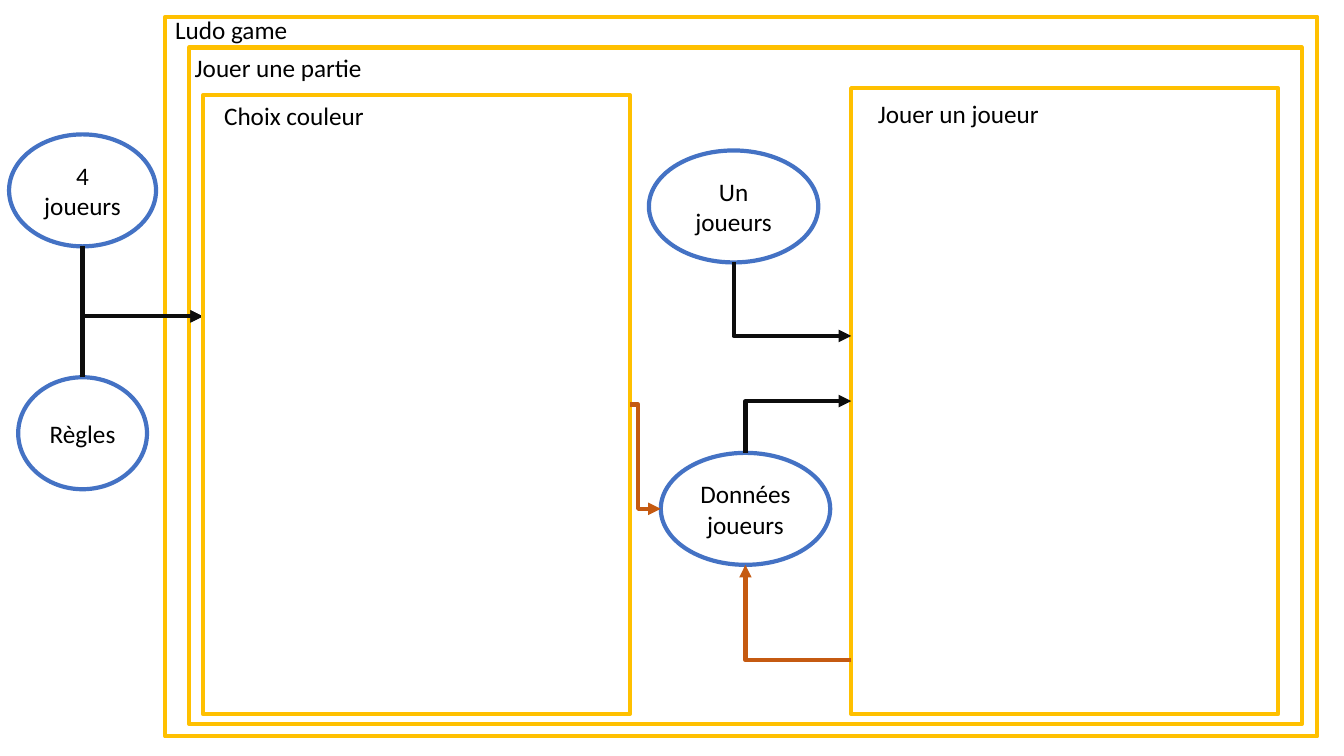
from dataclasses import dataclass
from pptx import Presentation
from pptx.dml.color import RGBColor as RGB
from pptx.enum.shapes import MSO_CONNECTOR as Conn, MSO_SHAPE as Form
from pptx.enum.text import MSO_ANCHOR as Anchor, PP_ALIGN as Align
from pptx.oxml.ns import qn
from pptx.util import Pt
from lxml.etree import SubElement as Sub


@dataclass(frozen=True)
class Theme:
    font: str = "Calibri"
    size: float = 18
    line: float = 3
    ink: str = "000000"
    paper: str = "FFFFFF"
    frame: str = "FFC000"
    data: str = "4472C4"
    input: str = "0D0D0D"
    output: str = "C55A11"


T = Theme()
OVAL = 80  # height of every data oval


def color(code):
    return RGB.from_string(code)


def write(shape, text, align=Align.LEFT, anchor=Anchor.TOP, size=T.size, ink=T.ink):
    frame = shape.text_frame
    frame.word_wrap = True
    frame.vertical_anchor = anchor
    par = frame.paragraphs[0]
    par.alignment = align
    run = par.add_run()
    run.text = text
    run.font.name, run.font.size = T.font, Pt(size)
    run.font.color.rgb = color(ink)


def outline(slide, form, box, ink):
    shape = slide.shapes.add_shape(form, *map(Pt, box))
    shape.shadow.inherit = False
    shape.fill.solid()
    shape.fill.fore_color.rgb = color(T.paper)
    shape.line.color.rgb = color(ink)
    shape.line.width = Pt(T.line)
    return shape


def panel(slide, box):
    outline(slide, Form.RECTANGLE, box, T.frame)


def label(slide, box, text, dx, dy, width):
    spot = slide.shapes.add_textbox(Pt(box[0] + dx), Pt(box[1] + dy), Pt(width), Pt(29))
    write(spot, text)


def oval(slide, box, text):
    shape = outline(slide, Form.OVAL, box, T.data)
    write(shape, text, align=Align.CENTER, anchor=Anchor.MIDDLE)


def arrow(slide, start, end, ink, upright=False, bend=None):
    """Elbow arrow; upright leaves vertically and heads right, bend places a middle leg."""
    (x1, y1), (x2, y2) = start, end
    turn = 0
    if upright:
        # Lay the frame on its side about its centre, then turn it upright
        mx, my = (x1 + x2) / 2, (y1 + y2) / 2
        dx, dy = abs(y2 - y1) / 2, (x2 - x1) / 2
        turn = 270 if y2 > y1 else 90
        side = 1 if y2 > y1 else -1
        x1, y1, x2, y2 = mx + dx, my - side * dy, mx - dx, my + side * dy
    link = slide.shapes.add_connector(Conn.ELBOW, Pt(x1), Pt(y1), Pt(x2), Pt(y2))
    link.line.color.rgb = color(ink)
    link.line.width = Pt(T.line)
    props = link._element.spPr
    if turn:
        props.find(qn("a:xfrm")).set("rot", str(turn * 60000))
    geom = props.find(qn("a:prstGeom"))
    if bend is None:
        geom.set("prst", "bentConnector2")
    else:
        Sub(geom.find(qn("a:avLst")), qn("a:gd"), name="adj1", fmla=f"val {bend}")
    Sub(props.find(qn("a:ln")), qn("a:tailEnd"), type="triangle")
    Sub(props, qn("a:effectLst"))


def inputs(slide, box, goal):
    """Players above rules, both feeding the goal."""
    x, y, w, h = box
    mid = x + w / 2
    rules = 92
    oval(slide, (x, y, w, OVAL), "4 joueurs")
    oval(slide, (mid - rules / 2, y + h - OVAL, rules, OVAL), "Règles")
    for edge in (y + h - OVAL, y + OVAL):
        arrow(slide, (mid, edge), goal, T.input, upright=True)


def choice(slide, box):
    panel(slide, box)
    label(slide, box, "Choix couleur", 8, 0, 122)


def turn(slide, box):
    panel(slide, box)
    label(slide, box, "Jouer un joueur", 12, 4, 140)


def flow(slide, box, left):
    """Data ovals and the arrows linking them to the play panel at box."""
    x, y = box[:2]
    wide = 121
    one = (x - 144.5, y + 44.5, wide, OVAL)
    data = (x - 136, y + 260.5, wide, OVAL)
    oval(slide, one, "Un joueurs")
    oval(slide, data, "Données joueurs")
    mid, top = data[0] + wide / 2, data[1]
    arrow(slide, (one[0] + wide / 2, one[1] + OVAL), (x, y + 177), T.input, upright=True)
    arrow(slide, (mid, top), (x, y + 223.5), T.input, upright=True)
    arrow(slide, (left, y + 226), (data[0], top + OVAL / 2), T.output, bend=26700)
    arrow(slide, (x, y + 408.5), (mid, top + OVAL), T.output)


def main():
    deck = Presentation()
    deck.slide_width, deck.slide_height = Pt(960), Pt(540)
    slide = deck.slides.add_slide(deck.slide_layouts[6])
    game = (118, 12, 823, 514)
    match = (135, 34, 795, 483)
    pick = (145, 68, 305, 442)
    play = (608, 63, 305, 447)

    # Outer frames
    panel(slide, game)
    panel(slide, match)
    label(slide, game, "Ludo game", 0, -5, 111)
    label(slide, match, "Jouer une partie", -3, 0, 143)

    # Inputs and the two steps
    inputs(slide, (6.5, 96, 105, 253.5), (pick[0], 226))
    choice(slide, pick)
    turn(slide, play)
    flow(slide, play, pick[0] + pick[2])
    deck.save("out.pptx")


if __name__ == "__main__":
    main()
